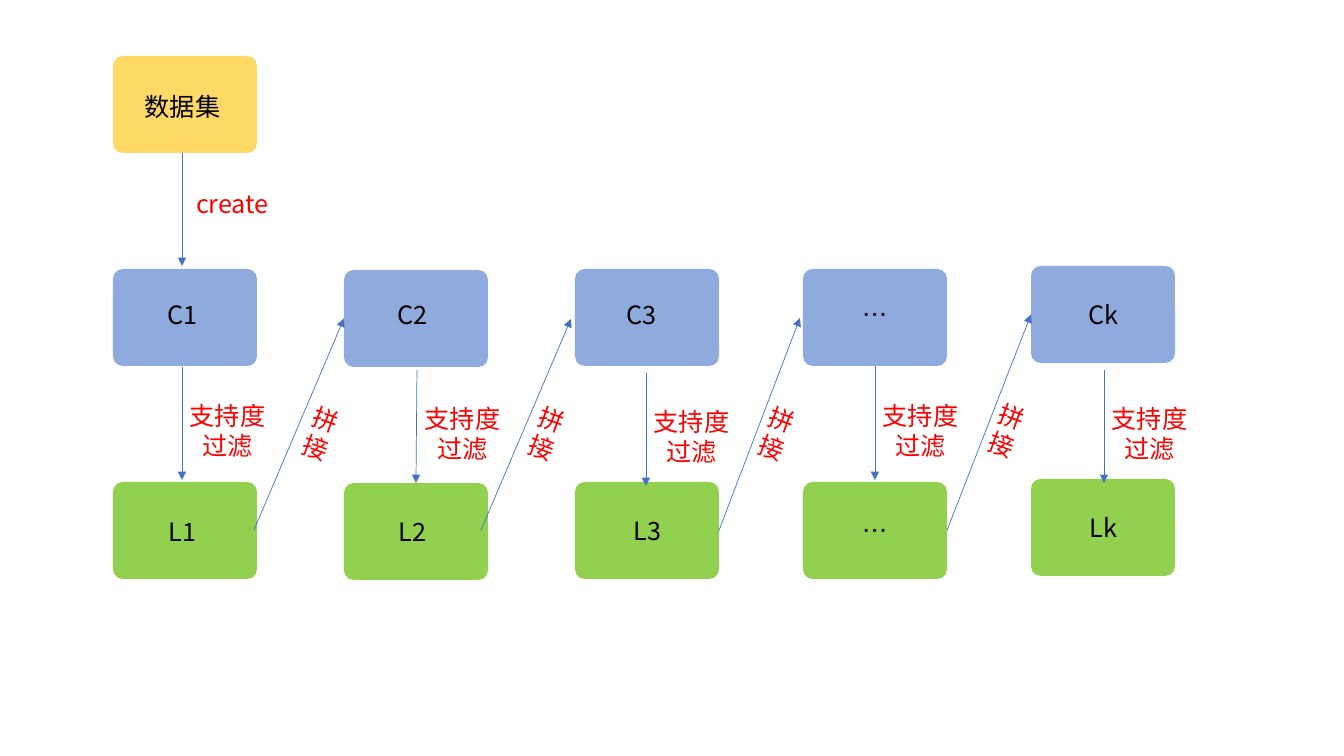
from math import dist

from lxml.etree import SubElement
from pptx import Presentation
from pptx.dml.color import RGBColor
from pptx.enum.shapes import MSO_CONNECTOR, MSO_SHAPE
from pptx.enum.text import MSO_AUTO_SIZE, PP_ALIGN
from pptx.oxml.ns import qn
from pptx.util import Pt

# Content: box left and top, label left and top, in px
SOURCE = ("数据集", 113, 56, 132, 86)
C_ROW = [
    ("C1", 113, 269, 132, 294),
    ("C2", 344, 270, 362, 294),
    ("C3", 575, 269, 591, 294),
    ("…", 803, 269, 825, 294),
    ("Ck", 1031, 266, 1053, 294),
]
L_ROW = [
    ("L1", 113, 482, 132, 511),
    ("L2", 344, 483, 362, 511),
    ("L3", 575, 482, 597, 510),
    ("…", 803, 482, 825, 510),
    ("Lk", 1031, 479, 1053, 507),
]
# Filter arrows: x and top
DROPS = [(182, 367), (417, 370), (646, 373), (875, 367), (1104, 370)]
# Join arrows: start, end, label corner
JOINS = [
    ((254, 530), (344, 319), (298, 398)),
    ((481, 530), (571, 319), (524, 398)),
    ((719, 530), (800, 318), (754, 398)),
    ((947, 530), (1030, 315), (984, 395)),
]
MAKE, FILTER, JOIN = "create", "支持度过滤", "拼接"

# Theme and sizes
THEME = {
    "font": "Noto Sans CJK SC", "size": Pt(18), "line": Pt(0.5),
    "data": "FFD966", "cand": "8FAADC", "freq": "92D050",
    "ink": "000000", "note": "FF0000", "arrow": "4472C4",
}
SCALE = 914400 / 100.8
BOX_W, BOX_H = 144, 97
TEXT_W, LINE_H, PAIR_H = 101, 40, 72
DROP = 113
NEAR = 2


def emu(*vals):
    return [round(val * SCALE) for val in vals]


def tint(name):
    return RGBColor.from_string(THEME[name])


def apply(item, form):
    for key, val in form.items():
        setattr(item, key, val)


deck = Presentation()
deck.slide_width, deck.slide_height = emu(1344, 756)
slide = deck.slides.add_slide(deck.slide_layouts[6])
shapes = slide.shapes
sides = []  # side midpoint, box, side number


def add_box(left, top, fill):
    box = shapes.add_shape(MSO_SHAPE.ROUNDED_RECTANGLE,
                           *emu(left, top, BOX_W, BOX_H))
    box.adjustments[0] = 0.1
    box.shadow.inherit = False
    box.fill.solid()
    box.fill.fore_color.rgb = tint(fill)
    box.line.fill.background()
    mid_x, mid_y = left + BOX_W / 2, top + BOX_H / 2
    spots = [(mid_x, top), (left, mid_y),
             (mid_x, top + BOX_H), (left + BOX_W, mid_y)]
    sides.extend((spot, box, num) for num, spot in enumerate(spots))


def add_text(text, left, top, wide, high, ink, align=PP_ALIGN.CENTER, turn=0):
    label = shapes.add_textbox(*emu(left, top, wide, high))
    label.rotation = turn
    frame = label.text_frame
    apply(frame, {"word_wrap": True,
                  "auto_size": MSO_AUTO_SIZE.SHAPE_TO_FIT_TEXT})
    para = frame.paragraphs[0]
    para.alignment = align
    run = para.add_run()
    run.text = text
    run.font.color.rgb = tint(ink)
    apply(run.font, {"name": THEME["font"], "size": THEME["size"]})
    SubElement(run.font._element, qn("a:ea"), typeface=THEME["font"])


def add_arrow(start, end):
    arrow = shapes.add_connector(MSO_CONNECTOR.STRAIGHT, *emu(*start, *end))
    arrow.line.color.rgb = tint("arrow")
    arrow.line.width = THEME["line"]
    SubElement(arrow.line._get_or_add_ln(), qn("a:tailEnd"), type="triangle")
    SubElement(arrow._element.spPr, qn("a:effectLst"))
    # Join each end that meets the middle of a box side
    for point, join in ((start, arrow.begin_connect), (end, arrow.end_connect)):
        for spot, box, num in sides:
            if dist(point, spot) < NEAR:
                join(box, num)


# Boxes, then their labels
groups = [("cand", C_ROW), ("freq", L_ROW), ("data", [SOURCE])]
for fill, row in groups:
    for _, left, top, _, _ in row:
        add_box(left, top, fill)
for _, row in groups:
    for text, _, _, left, top in row:
        add_text(text, left, top, TEXT_W, LINE_H, "ink")

# Data set to first candidates
add_arrow((182, 153), (182, 266))
add_text(MAKE, 182, 183, TEXT_W, LINE_H, "note")

# Candidates filtered down
for left, top in DROPS:
    add_arrow((left, top), (left, top + DROP))
    add_text(FILTER, left - 5, top + 28, TEXT_W, PAIR_H, "note")

# Sets joined up to the next column
for start, end, corner in JOINS:
    add_arrow(start, end)
    add_text(JOIN, *corner, 44, PAIR_H, "note", PP_ALIGN.LEFT, 20)

deck.save("out.pptx")
